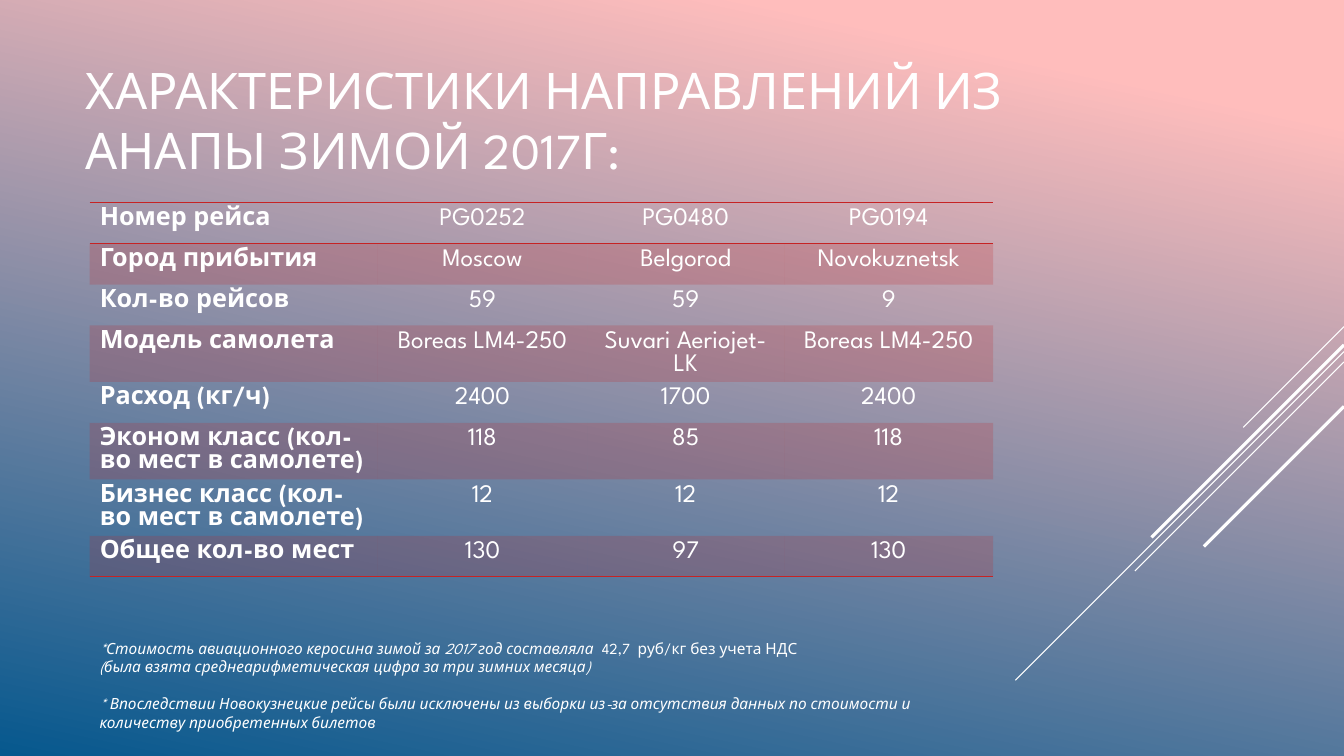
from pptx import Presentation
from pptx.dml.color import RGBColor
from pptx.enum.shapes import MSO_CONNECTOR
from pptx.enum.text import MSO_ANCHOR, PP_ALIGN
from pptx.oxml.ns import qn
from pptx.util import Cm, Pt
from lxml.etree import SubElement

WHITE = RGBColor(0xFF, 0xFF, 0xFF)
RED = RGBColor(0xC6, 0x23, 0x24)
PINK = RGBColor(0xFF, 0xBD, 0xBC)
BLUE = RGBColor(0x06, 0x58, 0x8E)
FONT = "League Spartan"
BAND_ALPHA = "20000"
NO_GRID_STYLE = "{2D5ABB26-0587-4C30-8999-92F81FD0307C}"

TITLE = "ХАРАКТЕРИСТИКИ НАПРАВЛЕНИЙ ИЗ АНАПЫ ЗИМОЙ 2017Г:"
COLUMN_WIDTHS = (7.26, 5.28, 4.96, 5.27)
ROW_HEIGHT = 1.03
FLIGHTS = (
    ("Номер рейса", "PG0252", "PG0480", "PG0194"),
    ("Город прибытия", "Moscow", "Belgorod", "Novokuznetsk"),
    ("Кол-во рейсов", "59", "59", "9"),
    ("Модель самолета", "Boreas LM4-250", "Suvari Aeriojet-LK", "Boreas LM4-250"),
    ("Расход (кг/ч)", "2400", "1700", "2400"),
    ("Эконом класс (кол-во мест в самолете)", "118", "85", "118"),
    ("Бизнес класс (кол-во мест в самолете)", "12", "12", "12"),
    ("Общее кол-во мест", "130", "97", "130"),
)
FOOTNOTES = (
    (0, (("*Стоимость авиационного керосина зимой за 2017 год составляла  ", True),
         ("42,7  руб/кг без учета НДС", False))),
    (0, (("(была взята среднеарифметическая цифра за три зимних месяца)", True),)),
    (13, (("* Впоследствии Новокузнецкие рейсы были исключены из выборки из-за отсутствия "
           "данных по стоимости и количеству приобретенных билетов", True),)),
)
RIGHT_EDGE = 33.87
DIAGONALS = (
    (8.23, 2.54, 0.75),
    (8.86, 8.28, 0.75),
    (9.12, 5.27, 0.75),
    (8.69, 4.85, 2.25),
    (10.24, 3.53, 2.25),
)


def style_font(font, size, **extra):
    """Apply the slide's typeface in white with the given format values."""
    for name, value in {"name": FONT, "size": Pt(size), **extra}.items():
        setattr(font, name, value)
    font.color.rgb = WHITE


def paint_background(slide):
    """Fill the background with the pink to blue gradient."""
    fill = slide.background.fill
    fill.gradient()
    fill.gradient_angle = 258
    for stop, (position, color) in zip(fill.gradient_stops, ((0.12, PINK), (1, BLUE))):
        stop.position = position
        stop.color.rgb = color


def add_diagonal(slide, top, reach, width):
    """Draw a 45 degree line down and left from the right edge."""
    diagonal = slide.shapes.add_connector(
        MSO_CONNECTOR.STRAIGHT,
        Cm(RIGHT_EDGE), Cm(top), Cm(RIGHT_EDGE - reach), Cm(top + reach))
    diagonal.line.color.rgb = WHITE
    diagonal.line.width = Pt(width)
    SubElement(diagonal.element.spPr, qn("a:effectLst"))


def set_title(slide):
    """Place and format the title placeholder."""
    title = slide.shapes.title
    for name, value in {"left": Cm(1.9), "top": Cm(0.91),
                        "width": Cm(23.7), "height": Cm(4.19)}.items():
        setattr(title, name, value)
    frame = title.text_frame
    frame.text = TITLE
    frame.vertical_anchor = MSO_ANCHOR.MIDDLE
    heading = frame.paragraphs[0]
    heading.alignment = PP_ALIGN.LEFT
    style_font(heading.font, 36)


def add_border(cell, side):
    """Add a thin red rule on one side of a cell."""
    rule = SubElement(cell._tc.get_or_add_tcPr(), qn(f"a:{side}"), w=str(Pt(1)))
    fill = SubElement(rule, qn("a:solidFill"))
    SubElement(fill, qn("a:srgbClr"), val=str(RED))


def fill_cell(cell, banded):
    """Give a banded cell a translucent red fill and leave others clear."""
    if not banded:
        cell.fill.background()
        return
    cell.fill.solid()
    cell.fill.fore_color.rgb = RED
    tint = cell._tc.tcPr.find(qn("a:solidFill")).find(qn("a:srgbClr"))
    SubElement(tint, qn("a:alpha"), val=BAND_ALPHA)


def add_flight_table(slide):
    """Build the table of flight characteristics."""
    table = slide.shapes.add_table(
        len(FLIGHTS), len(COLUMN_WIDTHS), Cm(2.26), Cm(5.11),
        Cm(sum(COLUMN_WIDTHS)), Cm(ROW_HEIGHT * len(FLIGHTS))).table
    table._tbl.tblPr.find(qn("a:tableStyleId")).text = NO_GRID_STYLE
    table.first_row = table.horz_banding = False
    for column, width in zip(table.columns, COLUMN_WIDTHS):
        column.width = Cm(width)
    sides = {0: ("lnT", "lnB"), len(FLIGHTS) - 1: ("lnB",)}
    for row, values in enumerate(FLIGHTS):
        for column, value in enumerate(values):
            cell = table.cell(row, column)
            cell.text = value
            entry = cell.text_frame.paragraphs[0]
            entry.alignment = PP_ALIGN.CENTER if column else PP_ALIGN.LEFT
            style_font(entry.font, 18, bold=column == 0)
            for side in sides.get(row, ()):
                add_border(cell, side)
            fill_cell(cell, row % 2 == 1)


def add_footnotes(slide):
    """Write the notes under the table."""
    frame = slide.shapes.add_textbox(Cm(2.26), Cm(15.98), Cm(21.82), Cm(2.62)).text_frame
    frame.word_wrap = True
    for index, (gap, pieces) in enumerate(FOOTNOTES):
        note = frame.add_paragraph() if index else frame.paragraphs[0]
        if gap:
            note.space_before = Pt(gap)
        for text, italic in pieces:
            run = note.add_run()
            run.text = text
            style_font(run.font, 11, italic=italic)


def main():
    """Build and save the slide."""
    deck = Presentation()
    deck.slide_width, deck.slide_height = Cm(33.87), Cm(19.05)
    slide = deck.slides.add_slide(deck.slide_layouts[5])
    paint_background(slide)
    for diagonal in DIAGONALS:
        add_diagonal(slide, *diagonal)
    set_title(slide)
    add_flight_table(slide)
    add_footnotes(slide)
    deck.save("out.pptx")


if __name__ == "__main__":
    main()
